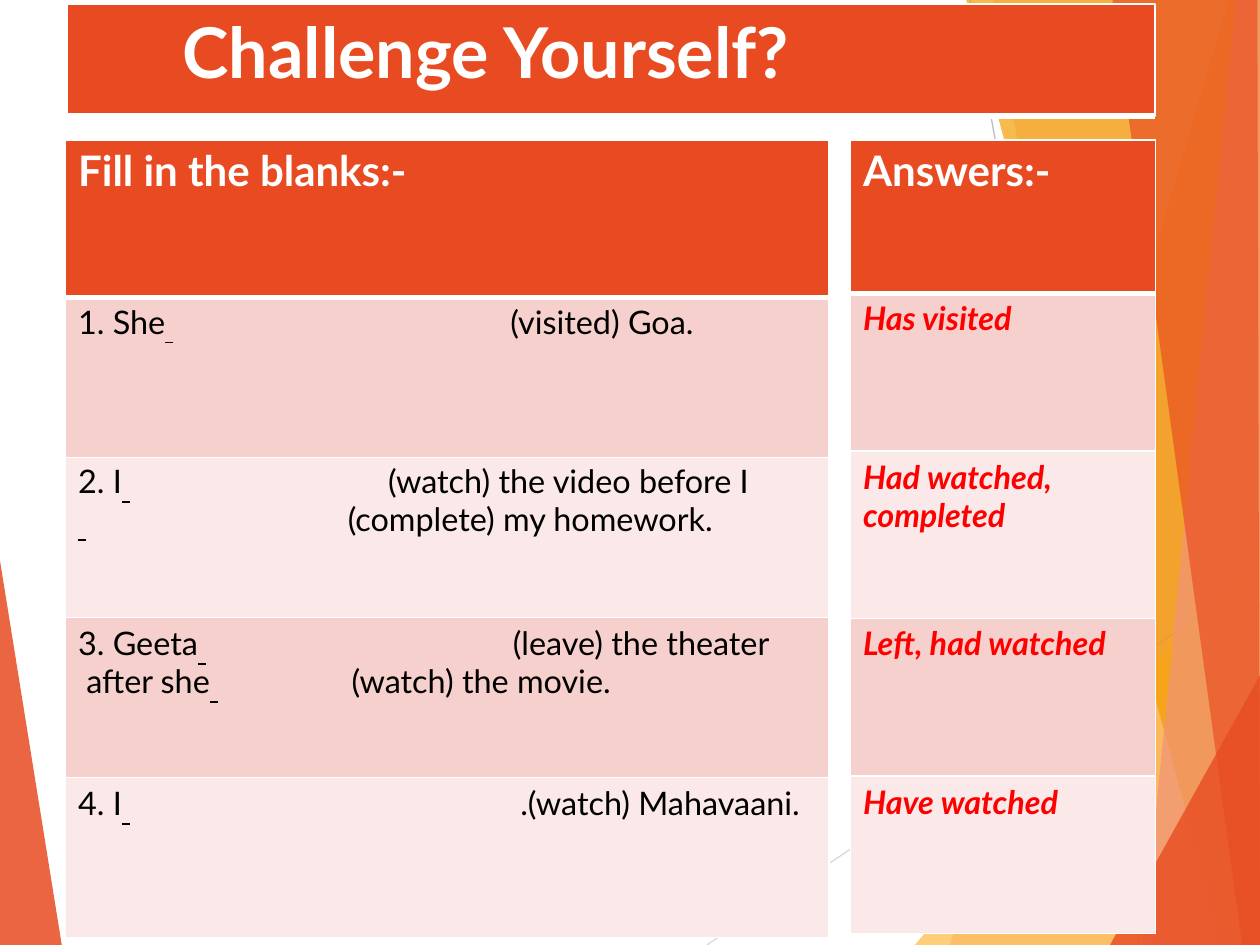
from pptx import Presentation, util as u
from pptx.dml.color import RGBColor
from pptx.enum import shapes as kinds, text as txt
from pptx.oxml.ns import qn
from lxml import etree

FONT = "Lato"
W, H = 10, 7.5
COLORS = {"orange": "E84B21", "amber": "FFBC46", "gold": "F49D00", "salmon": "F09379",
          "pink": "F6D0CC", "blush": "FAE9E8", "white": "FFFFFF", "black": "000000",
          "red": "FF0000", "grey": "BEBEBE", "pale": "D9D9D9"}

HEADING = "Challenge Yourself?"
BLANK = "_"
QUESTIONS = [
    [("Fill in the blanks:-", [])],
    [("1. She_(visited) Goa.", [3.43])],
    [("2. I_(watch) the video before I", [2.46]), ("_(complete) my homework.", [2.14])],
    [("3. Geeta_(leave) the theater", [3.45]), (" after she_(watch) the movie.", [2.17])],
    [("4. I_.(watch) Mahavaani.", [3.51])],
]
ANSWERS = [[(line, [])] for line in (
    "Answers:-", "Has visited", "Had watched, completed", "Left, had watched", "Have watched")]

LEFT_WEDGE = ("orange", 85, [(0, 4.45), (0, H), (0.49, H)])
RAYS = [("pale", (5.61, H), (W, 4.57)), ("grey", (7.7, 0), (9.04, H))]
RIGHT_FACETS = [
    ("orange", 30, [(9.75, 0), (7.54, H), (W, H), (W, 0)]),
    ("orange", 20, [(W, 0), (7.88, 0), (9.19, H), (W, H)]),
    ("amber", 72, [(W, 4.29), (7.26, H), (W, H)]),
    ("gold", 70, [(W, 0), (7.67, 0), (9.7, H), (W, H)]),
    ("salmon", 70, [(W, 0), (9.81, 0), (9.07, H), (W, H)]),
    ("orange", 65, [(9.98, 0), (8.83, 0), (9.86, H), (W, H), (9.98, 0.27)]),
    ("orange", 80, [(W, 5.36), (8.81, H), (W, H)]),
]
ROW_FILLS = ["orange", "pink", "blush", "pink", "blush"]
QUESTION_INSETS = [0.04, 0.04, 0.04, 0.06, 0.05]
ANSWER_INSETS = [0.04, 0.04, 0.06, 0.05, 0.05]
ROW_SPACING = [3, 3, 3.5, 4, 3.5]


def rgb(name):
    return RGBColor.from_string(COLORS[name])


def facet(slide, color, opacity, points):
    corners = [(u.Inches(x), u.Inches(y)) for x, y in points]
    builder = slide.shapes.build_freeform(*corners[0])
    builder.add_line_segments(corners[1:], close=True)
    shape = builder.convert_to_shape()
    shape.shadow.inherit = False
    shape.line.fill.background()
    shape.fill.solid()
    shape.fill.fore_color.rgb = rgb(color)
    tint = shape._element.spPr.find(qn("a:solidFill"))[0]
    etree.SubElement(tint, qn("a:alpha")).set("val", str(opacity * 1000))


def rule(slide, color, start, end, width=0.75):
    line = slide.shapes.add_connector(kinds.MSO_CONNECTOR.STRAIGHT,
                                      *(u.Inches(v) for v in start + end))
    line.line.color.rgb = rgb(color)
    line.line.width = u.Pt(width)
    etree.SubElement(line._element.spPr, qn("a:effectLst"))


def border(cell, widths):
    for side, width in zip("LRTB", widths):
        edge = etree.SubElement(cell._tc.get_or_add_tcPr(), qn(f"a:ln{side}"))
        edge.set("w", str(u.Pt(width)))
        fill = etree.SubElement(edge, qn("a:solidFill"))
        etree.SubElement(fill, qn("a:srgbClr")).set("val", COLORS["white"])


def style(paragraph, size, color, bold=False, italic=False):
    font = paragraph.font
    font.name, font.size, font.bold, font.italic = FONT, u.Pt(size), bold, italic
    font.color.rgb = rgb(color)


def write_line(paragraph, line, tabs):
    if tabs:
        stops = etree.SubElement(paragraph._p.get_or_add_pPr(), qn("a:tabLst"))
        for position in tabs:
            stop = etree.SubElement(stops, qn("a:tab"))
            stop.set("pos", str(u.Inches(position)))
            stop.set("algn", "l")
    for i, part in enumerate(line.split(BLANK)):
        if i:
            gap = paragraph.add_run()
            gap.text = " \t"
            gap.font.underline = True
        if part:
            paragraph.add_run().text = part


def column(slide, left, width, heights, insets, entries, body):
    frame = slide.shapes.add_table(len(entries), 1, u.Inches(left), u.Inches(1.11),
                                   u.Inches(width), u.Inches(sum(heights)))
    table = frame.table
    table.horz_banding = False
    table.columns[0].width = u.Inches(width)
    for i, lines in enumerate(entries):
        table.rows[i].height = u.Inches(heights[i])
        cell = table.cell(i, 0)
        border(cell, (1, 1, 3 if i == 1 else 1, 3 if i == 0 else 1))
        cell.fill.solid()
        cell.fill.fore_color.rgb = rgb(ROW_FILLS[i])
        cell.margin_left = u.Inches(0.1)
        cell.margin_right = cell.margin_bottom = 0
        cell.margin_top = u.Inches(insets[i])
        for n, (line, tabs) in enumerate(lines):
            paragraph = cell.text_frame.add_paragraph() if n else cell.text_frame.paragraphs[0]
            paragraph.space_before = u.Pt(0 if n else ROW_SPACING[i])
            if i in (2, 3):
                paragraph.line_spacing = u.Pt(21.7)
            write_line(paragraph, line, tabs)
            style(paragraph, **(body if i else {"size": 24, "color": "white", "bold": True}))


def heading(slide):
    left, top, width, height = 0.53, 0.03, 8.64, 0.89
    banner = slide.shapes.add_shape(kinds.MSO_SHAPE.RECTANGLE, *(
        u.Inches(v) for v in (left, top, width, height)))
    banner.shadow.inherit = False
    banner.fill.solid()
    banner.fill.fore_color.rgb = rgb("orange")
    banner.line.color.rgb = rgb("white")
    banner.line.width = u.Pt(1)
    rule(slide, "white", (left, top + height), (left + width, top + height), 3)

    title = slide.shapes.title
    slide.shapes._spTree.append(title._element)
    title.left, title.top, title.width, title.height = (
        u.Inches(v) for v in (left, 0.06, width, 0.7))
    frame = title.text_frame
    frame.text = HEADING
    frame.vertical_anchor = txt.MSO_ANCHOR.TOP
    frame.auto_size = txt.MSO_AUTO_SIZE.NONE
    frame.margin_left, frame.margin_top = u.Inches(0.92), u.Inches(0.01)
    frame.margin_right = frame.margin_bottom = 0
    frame.paragraphs[0].alignment = txt.PP_ALIGN.LEFT
    frame.paragraphs[0].space_before = u.Pt(1)
    style(frame.paragraphs[0], 40, "white", bold=True)


def main():
    deck = Presentation()
    deck.slide_width, deck.slide_height = u.Inches(W), u.Inches(H)
    slide = deck.slides.add_slide(deck.slide_layouts[5])
    facet(slide, *LEFT_WEDGE)
    for ray in RAYS:
        rule(slide, *ray)
    for part in RIGHT_FACETS:
        facet(slide, *part)
    heading(slide)
    column(slide, 6.75, 2.42, [1.22, 1.25, 1.33, 1.25, 1.25], ANSWER_INSETS, ANSWERS,
           {"size": 18.5, "color": "red", "bold": True, "italic": True})
    column(slide, 0.52, 6.06, [1.25] + [1.27] * 4, QUESTION_INSETS, QUESTIONS,
           {"size": 18.5, "color": "black"})
    deck.save("out.pptx")


if __name__ == "__main__":
    main()
